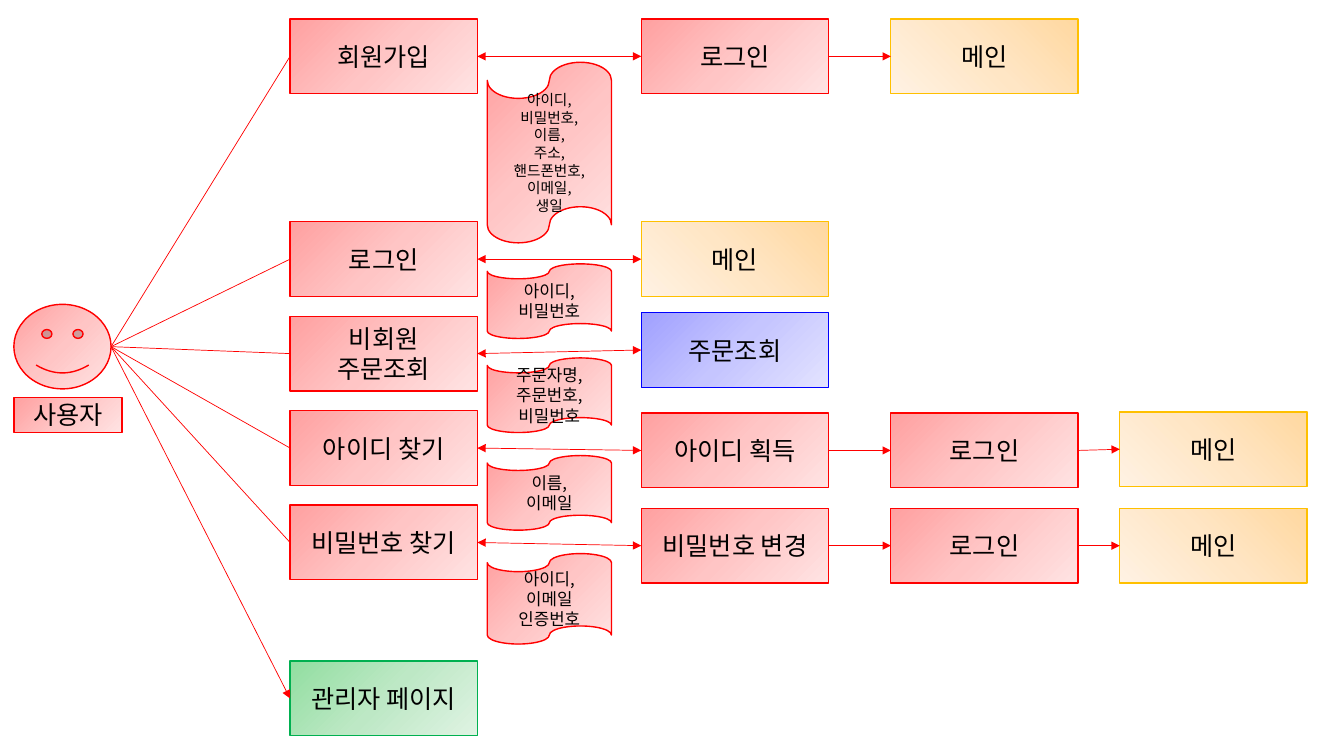
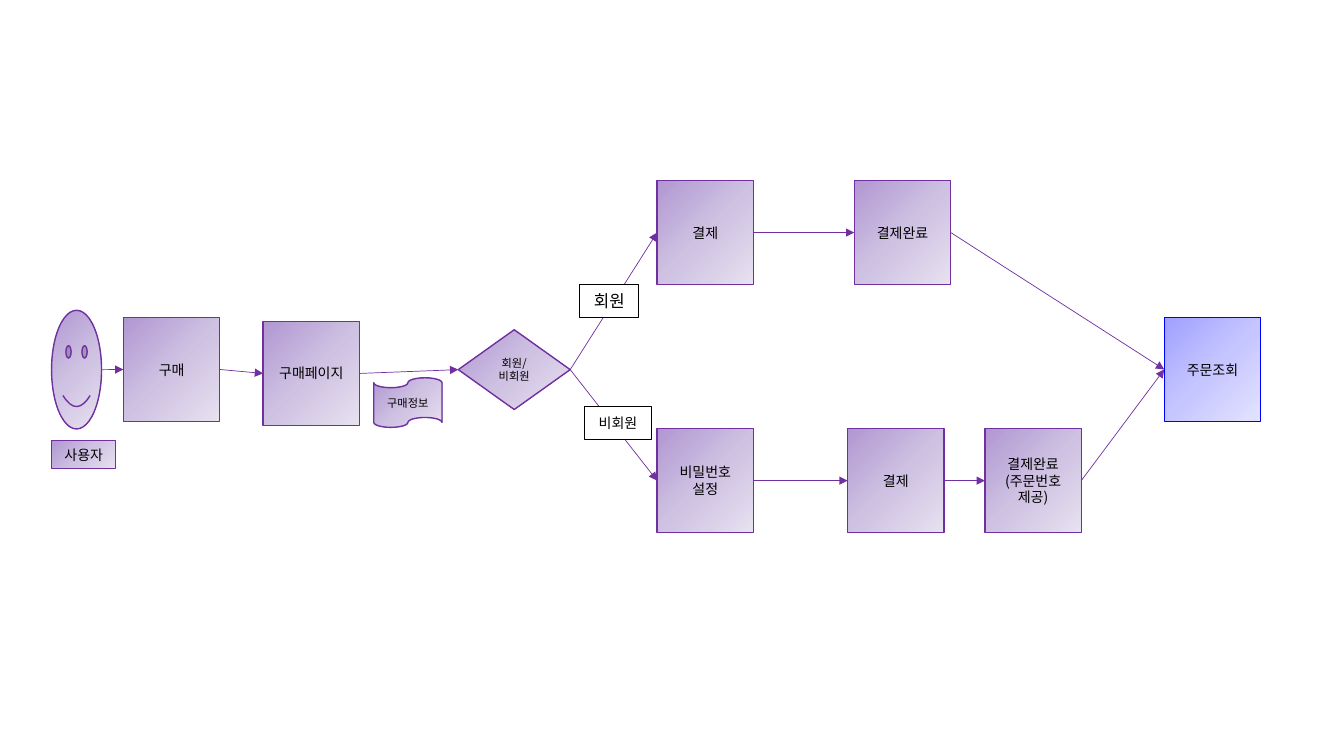
from lxml import etree
from pptx import Presentation
from pptx.dml.color import RGBColor
from pptx.enum.shapes import MSO_CONNECTOR, MSO_SHAPE
from pptx.enum.text import MSO_ANCHOR, PP_ALIGN
from pptx.oxml.ns import qn
from pptx.util import Cm, Pt

RECT = MSO_SHAPE.RECTANGLE
FACE = MSO_SHAPE.SMILEY_FACE
TAPE = MSO_SHAPE.FLOWCHART_PUNCHED_TAPE
DIAMOND = MSO_SHAPE.FLOWCHART_DECISION
STRAIGHT = MSO_CONNECTOR.STRAIGHT
CENTER = PP_ALIGN.CENTER
MIDDLE = MSO_ANCHOR.MIDDLE

FONT = "Noto Sans CJK KR"
# Each tone is a line colour and its fill colours.
RED = ("FF0000", ["FFA0A0", "FFC5C5", "FFE3E3"])
AMBER = ("FFC000", ["FFD8A0", "FFE6C5", "FFF2E3"])
BLUE = ("0000FF", ["A0A0FF", "C5C5FF", "E3E3FF"])
GREEN = ("00B050", ["91DEA0", "BDE8C5", "DFF3E3"])
PURPLE = ("7030A0", ["B197D2", "CEC1E2", "E7E1F0"])
PLAIN = ("000000", ["FFFFFF"])


def rgb(code):
    return RGBColor.from_string(code)


def add(parent, tag, **attrs):
    """Append an XML child and return it."""
    return etree.SubElement(parent, qn(tag), attrs)


class Flow:
    def __init__(self, deck):
        self.deck = deck

    def start(self, tone, size, box):
        """Open a slide with its main tone, text size and box size."""
        self.slide = self.deck.slides.add_slide(self.deck.slide_layouts[6])
        self.tone, self.size, self.box = tone, size, box

    def shade(self, shape, tone):
        """Fill with one colour or an even gradient."""
        codes = tone[1]
        if len(codes) == 1:
            shape.fill.solid()
            shape.fill.fore_color.rgb = rgb(codes[0])
            return
        shape.fill.gradient()
        grad = shape._element.spPr.find(qn("a:gradFill"))
        grad.clear()
        stops = add(grad, "a:gsLst")
        for i, code in enumerate(codes):
            stop = add(stops, "a:gs", pos=str(i * 50000))
            add(stop, "a:srgbClr", val=code)
        if tone is AMBER:
            ring = add(grad, "a:path", path="circle")
            add(ring, "a:fillToRect", l="100000", b="100000")
        else:
            add(grad, "a:lin", ang="2700000", scaled="0")

    def node(self, kind, left, top, text="", tone=None, size=None, box=None):
        tone = tone or self.tone
        wide, high = box or self.box
        shape = self.slide.shapes.add_shape(
            kind, Cm(left), Cm(top), Cm(wide), Cm(high))
        shape.shadow.inherit = False
        self.shade(shape, tone)
        shape.line.color.rgb = rgb(tone[0])
        shape.line.width = Pt(1)
        if text:
            self.label(shape.text_frame, text, size or self.size)
        return shape

    def label(self, frame, text, size):
        frame.text = text
        frame.word_wrap = True
        frame.vertical_anchor = MIDDLE
        for para in frame.paragraphs:
            para.alignment = CENTER
            font = para.font
            font.size = Pt(size)
            font.color.rgb = rgb("000000")
            font.name = FONT
            add(para._p.pPr.find(qn("a:defRPr")), "a:ea", typeface=FONT)

    def link(self, src, dst, head=False, tail=True):
        """Join the right side of src to the left side of dst."""
        line = self.slide.shapes.add_connector(
            STRAIGHT, src.left + src.width, src.top + src.height // 2,
            dst.left, dst.top + dst.height // 2)
        if src.auto_shape_type != FACE:
            line.begin_connect(src, 3)
        line.end_connect(dst, 1)
        line.line.color.rgb = rgb(self.tone[0])
        line.line.width = Pt(0.5)
        props = line._element.spPr
        ends = props.find(qn("a:ln"))
        if head:
            add(ends, "a:headEnd", type="triangle")
        if tail:
            add(ends, "a:tailEnd", type="triangle")
        add(props, "a:effectLst")

    def chain(self, *nodes):
        for src, dst in zip(nodes, nodes[1:]):
            self.link(src, dst)


def draw_login(flow):
    flow.start(RED, 18, (4.72, 1.88))
    user = flow.node(FACE, 0.35, 7.67, box=(2.45, 2.13))
    flow.node(RECT, 0.35, 10.01, "사용자", box=(2.73, 0.89))
    cols = [16.16, 22.45, 28.22]
    first, step = 5.59, 2.38
    # Action and top; tape top, height, size and text; steps that follow.
    rows = [
        ("회원가입", 0.48,
         (1.57, 4.55, 10.5,
          "아이디,\n비밀번호,\n이름,\n주소,\n핸드폰번호,\n이메일,\n생일"),
         [("로그인", 0.48, RED), ("메인", 0.48, AMBER)]),
        ("로그인", first, (6.65, 1.88, 12, "아이디,\n비밀번호"),
         [("메인", first, AMBER)]),
        ("비회원 주문조회", first + step,
         (9.02, 1.88, 12, "주문자명,\n주문번호,\n비밀번호"),
         [("주문조회", 7.88, BLUE)]),
        ("아이디 찾기", first + 2 * step, (11.48, 1.88, 12, "이름,\n이메일"),
         [("아이디 획득", 10.41, RED), ("로그인", 10.41, RED),
          ("메인", 10.38, AMBER)]),
        ("비밀번호 찾기", first + 3 * step,
         (13.95, 2.28, 12, "아이디,\n이메일 인증번호"),
         [("비밀번호 변경", 12.81, RED), ("로그인", 12.81, RED),
          ("메인", 12.81, AMBER)]),
    ]
    left = 7.31
    for name, top, (high, tall, size, text), steps in rows:
        act = flow.node(RECT, left, top, name)
        flow.link(user, act, tail=False)
        nodes = [flow.node(RECT, col, y, word, tone)
                 for col, (word, y, tone) in zip(cols, steps)]
        flow.link(act, nodes[0], head=True)
        flow.chain(*nodes)
        flow.node(TAPE, 12.28, high, text, size=size, box=(3.13, tall))
    admin = flow.node(RECT, left, 16.66, "관리자 페이지", GREEN)
    flow.link(user, admin)


def draw_order(flow):
    flow.start(PURPLE, 10, (2.43, 2.62))
    high, mid, low = 4.55, 8, 10.8
    user = flow.node(FACE, 1.3, 7.82, box=(1.26, 2.99))
    flow.node(RECT, 1.3, 11.1, "사용자", box=(1.62, 0.71))
    buy = flow.node(RECT, 3.11, mid, "구매")
    page = flow.node(RECT, 6.63, 8.1, "구매페이지")
    kind = flow.node(DIAMOND, 11.55, 8.31, "회원/\n비회원",
                     size=8, box=(2.82, 2.01))
    pay = flow.node(RECT, 16.56, high, "결제")
    done = flow.node(RECT, 21.53, high, "결제완료")
    code = flow.node(RECT, 16.56, low, "비밀번호\n설정")
    guest = flow.node(RECT, 21.36, low, "결제")
    ticket = flow.node(RECT, 24.82, low, "결제완료\n(주문번호 제공)")
    order = flow.node(RECT, 29.34, mid, "주문조회", BLUE)
    flow.chain(user, buy, page, kind)
    flow.chain(kind, pay, done, order)
    flow.chain(kind, code, guest, ticket, order)
    flow.node(TAPE, 9.42, 9.52, "구매정보", size=8, box=(1.72, 1.25))
    flow.node(RECT, 14.61, 7.17, "회원", PLAIN, 12, (1.49, 0.84))
    flow.node(RECT, 14.73, 10.24, "비회원", PLAIN, box=(1.69, 0.84))


def main():
    deck = Presentation()
    deck.slide_width, deck.slide_height = Cm(33.87), Cm(19.05)
    flow = Flow(deck)
    draw_login(flow)
    draw_order(flow)
    deck.save("out.pptx")


if __name__ == "__main__":
    main()
